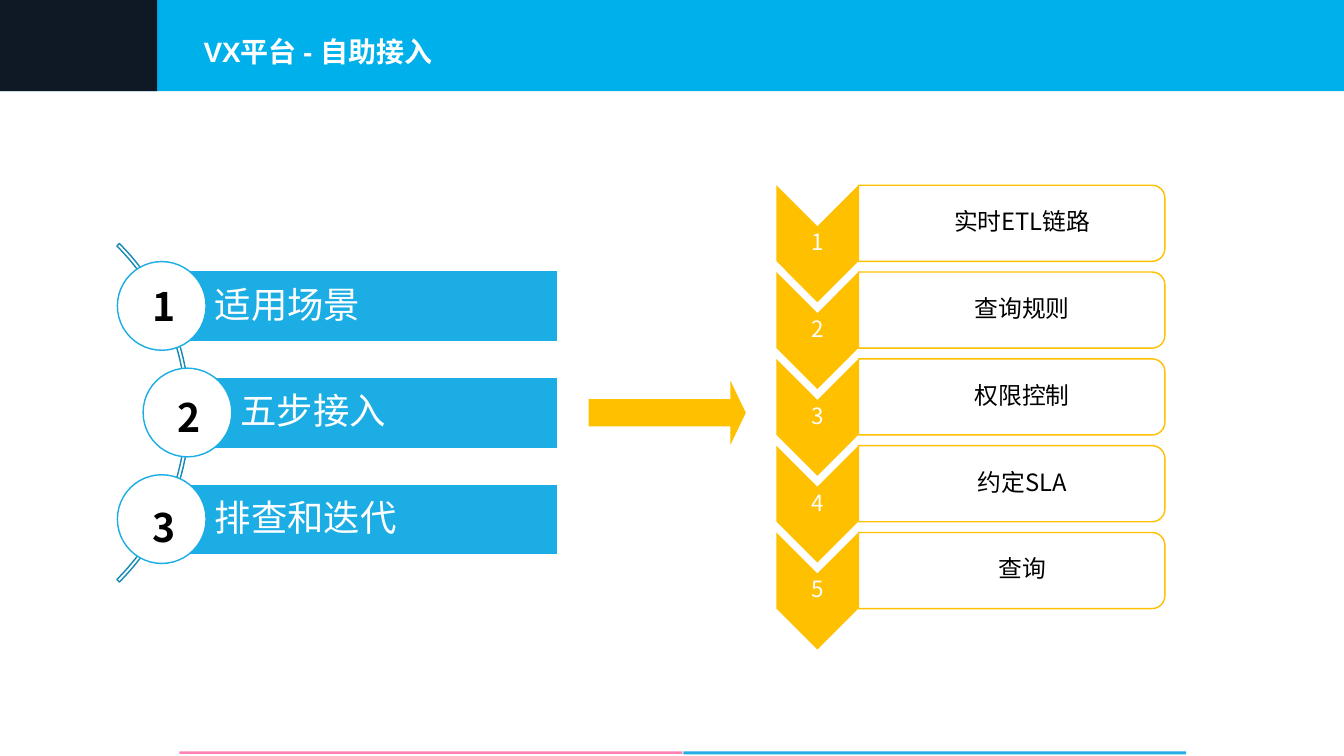
from math import cos, radians, sin

from lxml import etree
from pptx import Presentation
from pptx.dml.color import RGBColor
from pptx.enum.shapes import MSO_SHAPE as SHAPE
from pptx.enum.text import MSO_ANCHOR as ANCHOR, MSO_AUTO_SIZE as AUTO_SIZE, PP_ALIGN as ALIGN
from pptx.oxml.ns import qn
from pptx.util import Inches, Pt

CJK = "Noto Sans CJK SC"
BLUE, YELLOW, WHITE, BLACK = "1CADE4", "FFC000", "FFFFFF", "000000"

prs = Presentation()
prs.slide_width, prs.slide_height = Inches(26.67), Inches(15)
slide = prs.slides.add_slide(prs.slide_layouts.get_by_name("Title Only"))
shapes = slide.shapes


def add_block(kind, left, top, width, height, fill, line=None, rotation=0):
    block = shapes.add_shape(kind, Inches(left), Inches(top), Inches(width), Inches(height))
    block.shadow.inherit = False
    block.rotation = rotation
    block.fill.solid()
    block.fill.fore_color.rgb = RGBColor.from_string(fill)
    if line:
        block.line.color.rgb = RGBColor.from_string(line)
        block.line.width = Pt(2)
    else:
        block.line.fill.background()
    return block


def write(holder, text, size, color, inset, align=ALIGN.CENTER, anchor=ANCHOR.MIDDLE,
          bold=False, latin=CJK, before=0, spacing=1.0):
    """Put one formatted line of text into a text box or placeholder."""
    frame = holder.text_frame
    frame.word_wrap = True
    frame.auto_size = AUTO_SIZE.NONE
    frame.vertical_anchor = anchor
    frame.margin_left = frame.margin_right = Inches(inset)
    frame.margin_top = frame.margin_bottom = Inches(inset)
    paragraph = frame.paragraphs[0]
    paragraph.alignment = align
    paragraph.space_before = Pt(before)
    paragraph.line_spacing = spacing
    run = paragraph.add_run()
    run.text = text
    run.font.name, run.font.size, run.font.bold = latin, Pt(size), bold
    run.font.color.rgb = RGBColor.from_string(color)
    etree.SubElement(run.font._element, qn("a:ea")).set("typeface", CJK)


# Footer stripes and header band
add_block(SHAPE.RECTANGLE, 3.56, 14.91, 9.98, 0.05, "FE82B4")
add_block(SHAPE.RECTANGLE, 13.56, 14.91, 9.98, 0.06, "23ADE5")
add_block(SHAPE.RECTANGLE, 0, 0, 26.67, 1.81, "00B0EB")
add_block(SHAPE.RECTANGLE, 0, 0, 3.12, 1.81, "0F1925")

# The title goes in front of the header band
title = shapes.title
title._element.getparent().append(title._element)
title.left, title.top, title.width, title.height = map(Inches, (3.98, 0.57, 7.4, 0.89))
write(title, "VX平台 - 自助接入", 40, WHITE, 0.06, ALIGN.LEFT, bold=True, latin="Arial")

# Thin quarter-circle band behind the numbered topics
center_x, center_y = -0.99, 8.19
angles = [radians(a) for a in range(-45, 46, 2)]
band = [(4.75, a) for a in angles] + [(4.68, a) for a in reversed(angles)]
points = [(Inches(center_x + r * cos(a)), Inches(center_y + r * sin(a))) for r, a in band]
builder = shapes.build_freeform(*points[0])
builder.add_line_segments(points[1:], close=True)
arc = builder.convert_to_shape()
arc.shadow.inherit = False
arc.fill.background()
arc.line.color.rgb = RGBColor.from_string("1689B5")
arc.line.width = Pt(2)

# Numbered topics; the middle one is shifted right along the arc
topics = ["适用场景", "五步接入", "排查和迭代"]
for i, topic in enumerate(topics):
    shift = 0.51 if i == 1 else 0
    drop = 4.23 * i / (len(topics) - 1)
    add_block(SHAPE.RECTANGLE, 3.21 + shift, 5.37 + drop, 7.86 - shift, 1.41, BLUE, WHITE)
    label = shapes.add_textbox(Inches(4.12 + shift), Inches(5.14 + drop),
                               Inches(6.95 - shift), Inches(1.88))
    write(label, topic, 52, WHITE, 0.14, ALIGN.LEFT, before=21, spacing=0.9)
    add_block(SHAPE.OVAL, 2.33 + shift, 5.19 + drop, 1.76, 1.76, WHITE, BLUE)
    number = shapes.add_textbox(Inches(2.86 + shift), Inches(5.51 + 2.19 * i),
                                Inches(0.78), Inches(0.98))
    write(number, str(i + 1), 56, BLACK, 0.1, anchor=ANCHOR.TOP, bold=True)

# Five access steps: chevron with number, box with step name
steps = ["实时ETL链路", "查询规则", "权限控制", "约定SLA", "查询"]
for i, step in enumerate(steps):
    drop = 6.89 * i / (len(steps) - 1)
    add_block(SHAPE.CHEVRON, 15.06, 4.02 + drop, 2.32, 1.63, YELLOW, rotation=90)
    number = shapes.add_textbox(Inches(15.41), Inches(4.25 + drop), Inches(1.63), Inches(1.16))
    write(number, str(i + 1), 32, WHITE, 0.02, before=13, spacing=0.9)
    add_block(SHAPE.ROUND_2_SAME_RECTANGLE, 19.32, 1.39 + drop, 1.51, 6.08,
              WHITE, YELLOW, rotation=90)
    label = shapes.add_textbox(Inches(17.53), Inches(3.7 + drop), Inches(5.51), Inches(1.45))
    write(label, step, 34, BLACK, 0.02, before=6, spacing=0.9)

# Arrow from the topics to the steps
arrow = add_block(SHAPE.RIGHT_ARROW, 11.68, 7.55, 3.12, 1.28, YELLOW)
arrow.adjustments[0], arrow.adjustments[1] = 0.42, 0.24

prs.save("out.pptx")
